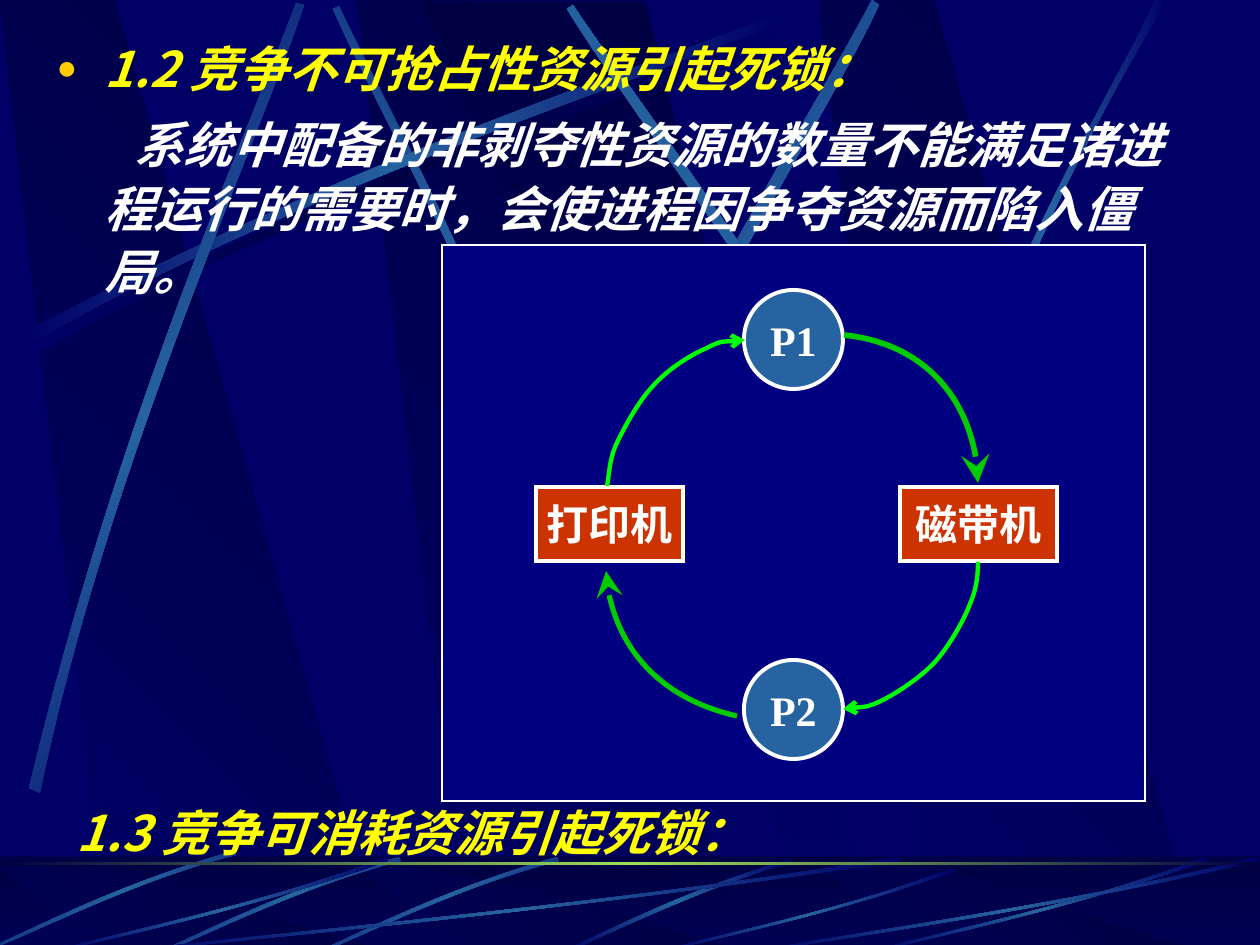
from dataclasses import dataclass

from lxml import etree
from pptx import Presentation
from pptx.dml.color import RGBColor
from pptx.enum.shapes import MSO_SHAPE
from pptx.enum.text import MSO_ANCHOR, MSO_AUTO_SIZE, PP_ALIGN
from pptx.oxml.ns import qn
from pptx.util import Pt

RECTANGLE, OVAL = MSO_SHAPE.RECTANGLE, MSO_SHAPE.OVAL
MIDDLE, TOP = MSO_ANCHOR.MIDDLE, MSO_ANCHOR.TOP
CENTER, LEFT = PP_ALIGN.CENTER, PP_ALIGN.LEFT
NO_AUTOFIT = MSO_AUTO_SIZE.NONE
EMU_PER_PX = 9144000 / 1260


@dataclass(frozen=True)
class Theme:
    """Colours, fonts and type sizes of the slide."""
    navy: str = "000066"
    midnight: str = "000044"
    steel: str = "2663A0"
    horizon: str = "9CE157"
    panel: str = "000080"
    device: str = "CC3300"
    white: str = "FFFFFF"
    heading: str = "FFFF00"
    bullet: str = "FFCC00"
    bright_arrow: str = "00FF00"
    deep_arrow: str = "00CC00"
    text_font: str = "Noto Sans CJK SC"
    label_font: str = "Times New Roman"
    text_size: int = 28
    label_size: int = 24
    line_pitch: float = 36.5


THEME = Theme()
GLOW = (THEME.navy, THEME.steel, THEME.navy)
SHADE = (THEME.navy, THEME.midnight, THEME.navy)

BEAMS = (
    (SHADE, 0, ((25, 346), (358, 169), (660, 74), (789, 23),
                (793, 30), (665, 87), (320, 190), (29, 359))),
    (GLOW, 315, ((580, 549), (493, 295), (381, 97), (339, 6),
                 (333, 9), (372, 100), (501, 325), (572, 553))),
    (GLOW, 0, ((18, 336), (350, 158), (653, 64), (781, 13),
               (785, 20), (658, 77), (312, 180), (21, 349))),
    (GLOW, 48.3, ((29, 788), (117, 421), (248, 132), (296, 3),
                  (304, 5), (261, 136), (108, 464), (40, 793))),
    (GLOW, 38.4, ((485, 774), (627, 403), (804, 129), (872, 0),
                  (879, 5), (818, 136), (612, 447), (496, 782))),
    (GLOW, 325.2, ((1016, 706), (844, 369), (650, 120), (573, 5),
                   (567, 9), (639, 127), (863, 410), (1007, 713))),
    (GLOW, 0, ((930, 495), (1026, 218), (1119, 83), (1155, 0),
               (1168, 0), (1053, 183), (969, 406), (937, 500))),
)
FLOOR_BEAM = ((790, 859), (677, 893), (601, 935), (564, 950),
              (571, 951), (617, 929), (719, 882), (791, 863))
SHORT_BEAM = ((557, 857), (447, 888), (362, 932), (323, 949),
              (324, 951), (363, 936), (460, 886), (559, 861))
SHORT_BEAM_SHIFTS = ((0, 0), (-158, 0), (-323, -6))
SWEEP = ((1, .04), (.57, .57), (.17, .85), (.01, 1),
         (0, .99), (.17, .81), (.62, .51), (.99, 0))
SWEEP_BOXES = ((126, 857, 777, 95), (53, 857, 336, 95), (664, 868, 291, 83),
               (872, 857, 336, 95), (756, 857, 504, 95))

ARROWS = (
    (THEME.bright_arrow, 2.5, "arrow", "med",
     ((607, 486), (609, 478), (609, 461), (616, 445), (624, 428), (638, 402), (653, 386),
      (667, 370), (690, 355), (707, 348), (722, 340), (738, 341), (745, 340))),
    (THEME.bright_arrow, 2.5, "arrow", "med",
     ((978, 562), (978, 568), (978, 586), (970, 604), (964, 620), (950, 645), (935, 662),
      (920, 678), (897, 693), (881, 701), (866, 708), (851, 708), (843, 709))),
    (THEME.deep_arrow, 3.25, "stealth", "lg",
     ((844, 335), (920, 343), (978, 406), (978, 483))),
    (THEME.deep_arrow, 3, "stealth", "lg",
     ((737, 716), (663, 699), (609, 640), (606, 571))),
)


def px(length):
    """Turn px into EMU."""
    return round(length * EMU_PER_PX)


def color(value):
    """Return the RGB colour of a hex value."""
    return RGBColor.from_string(value)


def add_outline(slide, points, close=True):
    """Add a plain freeform through points."""
    corners = [(px(x), px(y)) for x, y in points]
    builder = slide.shapes.build_freeform(*corners[0], scale=1.0)
    builder.add_line_segments(corners[1:], close=close)
    shape = builder.convert_to_shape()
    shape.shadow.inherit = False
    return shape


def bend(shape, starts):
    """Merge three line segments from each start index into one cubic curve."""
    segments = list(shape._element.spPr.iter(qn("a:lnTo")))
    for start in starts:
        first, *others = segments[start:start + 3]
        first.tag = qn("a:cubicBezTo")
        for segment in others:
            first.append(segment[0])
            segment.getparent().remove(segment)


def fill_gradient(shape, colors, angle):
    """Fill a shape with evenly spaced colours along a clockwise angle, without a line."""
    shape.fill.gradient()
    shape.fill.gradient_angle = (360 - angle) % 360
    stops = next(shape._element.spPr.iter(qn("a:gsLst")))
    for stop in list(stops):
        stops.remove(stop)
    for index, value in enumerate(colors):
        position = str(100000 * index // (len(colors) - 1))
        stop = etree.SubElement(stops, qn("a:gs"), pos=position)
        etree.SubElement(stop, qn("a:srgbClr"), val=value)
    shape.line.fill.background()


def add_beam(slide, colors, angle, points):
    """Add a tapering streak bounded by two curves."""
    shape = add_outline(slide, points)
    bend(shape, (0, 4))
    fill_gradient(shape, colors, angle)


def add_facets(slide, top, height):
    """Add the slanted background planes between top and top + height."""
    plane = ((109, 1), (381, 1), (115, 0), (0, 0))
    wide = ((420, 0), (829, 1), (874, 1), (646, 0))
    facets = [(left, plane, (THEME.navy, THEME.midnight), 315) for left in (357, 0, 819)]
    facets.append((0, wide, (THEME.midnight, THEME.navy), 90))
    for left, corners, colors, angle in facets:
        points = [(left + x, top + y * height) for x, y in corners]
        fill_gradient(add_outline(slide, points), colors, angle)


def add_box(slide, box, fill, kind=RECTANGLE, line_width=None):
    """Add a filled preset shape, with a white line if a width is given."""
    shape = slide.shapes.add_shape(kind, *map(px, box))
    shape.shadow.inherit = False
    shape.fill.solid()
    shape.fill.fore_color.rgb = color(fill)
    if line_width:
        shape.line.color.rgb = color(THEME.white)
        shape.line.width = Pt(line_width)
        outline = shape._element.spPr.find(qn("a:ln"))
        etree.SubElement(outline, qn("a:miter"), lim="800000")
    else:
        shape.line.fill.background()
    return shape


def set_font(paragraph, name, size, value, italic=False):
    """Set the bold font of a whole paragraph."""
    font = paragraph.font
    font.name, font.size, font.bold, font.italic = name, Pt(size), True, italic
    font.color.rgb = color(value)
    etree.SubElement(paragraph._p.pPr.find(qn("a:defRPr")), qn("a:ea"), typeface=THEME.text_font)


def add_node(slide, text, box, fill, kind):
    """Add a labelled process or device."""
    shape = add_box(slide, box, fill, kind, 2.25)
    frame = shape.text_frame
    frame.word_wrap, frame.vertical_anchor = False, MIDDLE
    paragraph = frame.paragraphs[0]
    paragraph.text, paragraph.alignment = text, CENTER
    set_font(paragraph, THEME.label_font, THEME.label_size, THEME.white)


def add_arrow(slide, value, width, head, head_size, points):
    """Add a curved arrow that points at its last point."""
    shape = add_outline(slide, points, close=False)
    bend(shape, range(0, len(points) - 1, 3))
    shape.fill.background()
    shape.line.color.rgb = color(value)
    shape.line.width = Pt(width)
    outline = shape._element.spPr.find(qn("a:ln"))
    etree.SubElement(outline, qn("a:tailEnd"), type=head, w=head_size, len=head_size)


def fill_body(slide, index, box, items):
    """Put (text, colour, left margin, first indent, bulleted) items in a placeholder, in front."""
    body = slide.placeholders[index]
    body.left, body.top, body.width, body.height = map(px, box)
    slide.shapes._spTree.append(body._element)
    frame = body.text_frame
    frame.auto_size, frame.word_wrap, frame.vertical_anchor = NO_AUTOFIT, True, TOP
    frame.margin_top, frame.margin_right = px(7), px(6)
    for number, (text, value, margin, indent, bulleted) in enumerate(items):
        paragraph = frame.add_paragraph() if number else frame.paragraphs[0]
        paragraph.text, paragraph.alignment = text, LEFT
        paragraph.line_spacing = Pt(THEME.line_pitch)
        paragraph.space_before = Pt(7 if number else 0)
        properties = paragraph._p.get_or_add_pPr()
        properties.set("marL", str(px(margin)))
        properties.set("indent", str(px(indent)))
        if bulleted:
            bullet_color = etree.SubElement(properties, qn("a:buClr"))
            etree.SubElement(bullet_color, qn("a:srgbClr"), val=THEME.bullet)
            etree.SubElement(properties, qn("a:buSzPct"), val="70000")
            etree.SubElement(properties, qn("a:buChar"), char="●")
        else:
            etree.SubElement(properties, qn("a:buNone"))
        set_font(paragraph, THEME.text_font, THEME.text_size, value, italic=True)


def add_backdrop(slide):
    """Add the beams, the floor and the horizon."""
    slide.background.fill.solid()
    slide.background.fill.fore_color.rgb = color(THEME.navy)
    add_facets(slide, 1, 945)
    for colors, angle, points in BEAMS:
        add_beam(slide, colors, angle, points)
    floor = add_box(slide, (0, 857, 1260, 88), THEME.navy)
    fill_gradient(floor, (THEME.midnight, THEME.navy), 90)
    add_facets(slide, 867, 83)
    veil = add_box(slide, (0, 856, 1260, 89), THEME.midnight)
    veil_color = next(veil._element.spPr.iter(qn("a:srgbClr")))
    etree.SubElement(veil_color, qn("a:alpha"), val="50000")
    add_beam(slide, GLOW, 0, FLOOR_BEAM)
    for dx, dy in SHORT_BEAM_SHIFTS:
        add_beam(slide, GLOW, 45, [(x + dx, y + dy) for x, y in SHORT_BEAM])
    for left, top, width, height in SWEEP_BOXES:
        add_beam(slide, GLOW, 0, [(left + x * width, top + y * height) for x, y in SWEEP])
    horizon = add_box(slide, (0, 862, 1260, 3), THEME.horizon)
    fill_gradient(horizon, (THEME.midnight, THEME.horizon, THEME.midnight), 0)


def add_deadlock_cycle(slide):
    """Add the resource cycle of two processes and two devices."""
    add_box(slide, (442, 245, 703, 556), THEME.panel, line_width=0.75)
    add_node(slide, "打印机", (536, 487, 147, 74), THEME.device, RECTANGLE)
    add_node(slide, "磁带机", (900, 487, 157, 74), THEME.device, RECTANGLE)
    for text, top in (("P1", 290), ("P2", 660)):
        add_node(slide, text, (744, top, 99, 99), THEME.steel, OVAL)
    for arrow in ARROWS:
        add_arrow(slide, *arrow)


def main():
    """Build and save the slide."""
    presentation = Presentation()
    presentation.slide_width, presentation.slide_height = px(1260), px(945)
    slide = presentation.slides.add_slide(presentation.slide_layouts[3])
    title = slide.shapes.title._element
    title.getparent().remove(title)
    add_backdrop(slide)
    fill_body(slide, 1, (44, 26, 1131, 277), (
        ("1.2 竞争不可抢占性资源引起死锁：", THEME.heading, 48, -48, True),
        ("系统中配备的非剥夺性资源的数量不能满足诸进程运行的需要时，会使进程因争夺资源而陷入僵局。",
         THEME.white, 48, 30, False)))
    add_deadlock_cycle(slide)
    fill_body(slide, 2, (64, 790, 1131, 89), (
        ("1.3 竞争可消耗资源引起死锁：", THEME.heading, 0, 0, False),))
    presentation.save("out.pptx")


if __name__ == "__main__":
    main()
